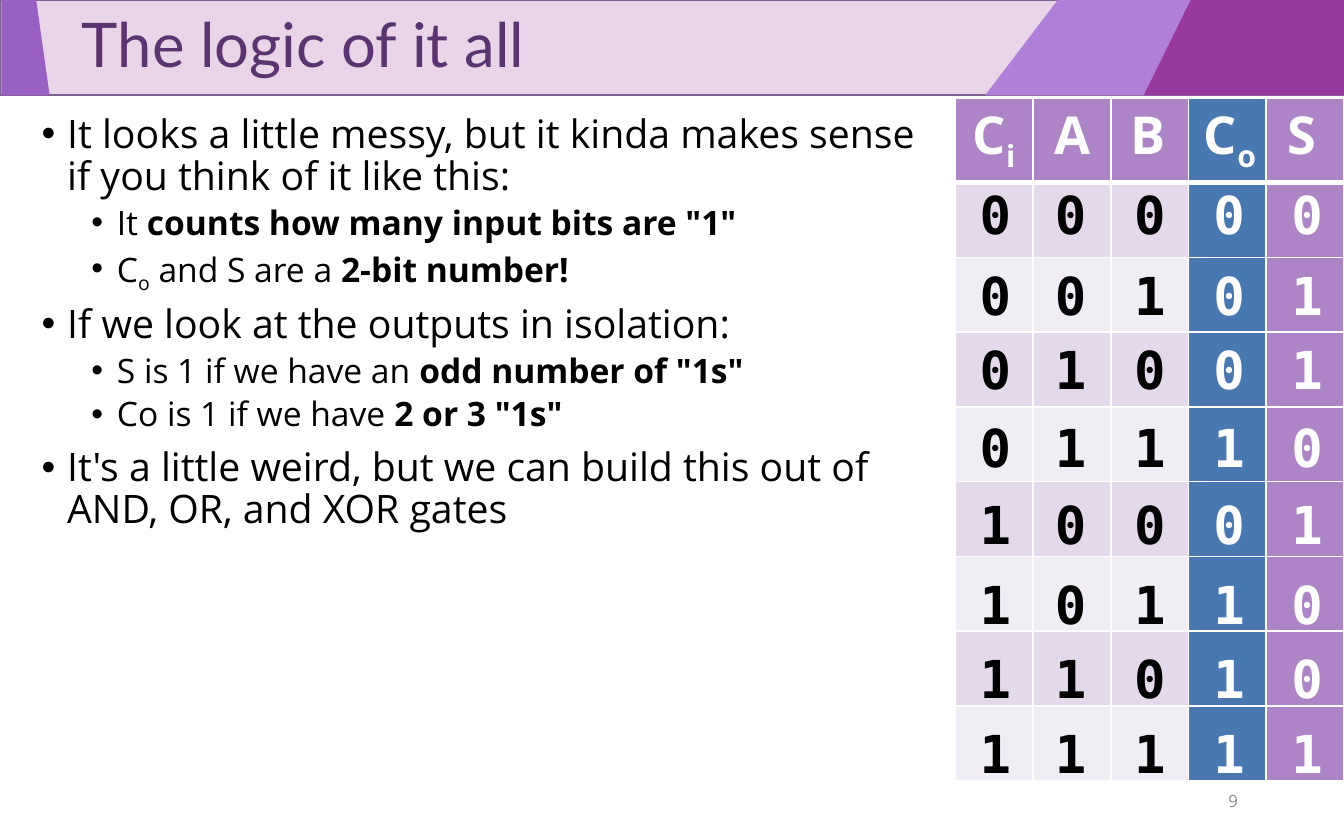
from pptx import Presentation
from pptx.dml.color import RGBColor
from pptx.enum.shapes import MSO_SHAPE
from pptx.enum.text import MSO_ANCHOR, MSO_AUTO_SIZE, PP_ALIGN
from pptx.oxml.ns import qn
from pptx.util import Inches, Pt
from lxml.etree import SubElement

COLORS = {
    "band": "E9D4E9", "band_line": "806292", "lilac": "B07FD8",
    "violet": "995FC2", "plum": "98399D", "title": "5A3471",
    "black": "000000", "white": "FFFFFF", "gray": "8C8C8C",
    "sum": "AD84C6", "carry": "4977B0", "odd": "E3D9EA", "even": "F1EDF5",
}
BODY_FONT, TITLE_FONT, DIGIT_FONT = "Open Sans", "Lato", "DejaVu Sans Mono"
WIDTH, HEIGHT, BAND_HEIGHT = 10, 6.25, 0.71

SLANTS = [
    ("lilac", [(7.87, 0), (10, 0), (10, BAND_HEIGHT), (7.33, BAND_HEIGHT)]),
    ("violet", [(0.01, 0), (0.27, 0), (0.37, BAND_HEIGHT), (0.01, BAND_HEIGHT)]),
    ("plum", [(8.86, 0), (10, 0), (10, BAND_HEIGHT), (8.51, BAND_HEIGHT)]),
]
TITLE = "The logic of it all"
BULLETS = [
    (0, [("It looks a little messy, but it kinda makes sense if you think of it like this:", "")]),
    (1, [("It ", ""), ('counts how many input bits are "1"', "bold")]),
    (1, [("C", ""), ("o", "sub"), (" and S are a ", ""), ("2-bit number!", "bold")]),
    (0, [("If we look at the outputs in isolation:", "")]),
    (1, [("S is 1 if we have an ", ""), ('odd number of "1s"', "bold")]),
    (1, [("Co is 1 if we have ", ""), ('2 or 3 "1s"', "bold")]),
    (0, [("It's a little weird, but we can build this out of AND, OR, and XOR gates", "")]),
]
LEVELS = [
    {"size": 21, "indent": 0.19, "before": 7.5},
    {"size": 18, "indent": 0.56, "before": 3.8},
]
HANGING = 0.19

HEADERS = [
    ([("C", "bold"), ("i", "bold sub")], 7.14, 0.52),
    ([("A", "bold")], 7.75, 0.48),
    ([("B", "bold")], 8.31, 0.45),
    ([("C", "bold"), ("o", "bold sub")], 8.86, 0.61),
    ([("S", "bold")], 9.48, 0.42),
]
TRUTH = ["00000", "00101", "01001", "01110", "10001", "10110", "11010", "11111"]
DIGIT_LEFTS = [7.19, 7.75, 8.34, 8.93, 9.51]
DIGIT_TOPS = [1.31, 1.91, 2.46, 3.04, 3.61, 4.21, 4.76, 5.32]
DIGIT_WIDTH, DIGIT_HEIGHT = 0.42, 0.57
TABLE_LEFT, TABLE_TOP, TABLE_BOTTOM, HEADER_HEIGHT = 7.11, 0.73, 5.81, 0.63


def color(name):
    return RGBColor.from_string(COLORS[name])


def place(shape, left, top, width, height):
    shape.left, shape.top = Inches(left), Inches(top)
    shape.width, shape.height = Inches(width), Inches(height)


def write(para, spans, font=BODY_FONT, size=18, ink="black"):
    for text, style in spans:
        span = para.add_run()
        span.text = text
        span.font.name, span.font.size = font, Pt(size)
        span.font.bold = "bold" in style
        span.font.color.rgb = color(ink)
        if "sub" in style:
            span.font._element.set("baseline", "-25000")
    return para


def paint(shape, fill, line=None):
    shape.shadow.inherit = False
    shape.fill.solid()
    shape.fill.fore_color.rgb = color(fill)
    if line:
        shape.line.color.rgb = color(line)
        shape.line.width = Pt(1)
    else:
        shape.line.fill.background()


def label(slide, spans, left, top, width, height, **style):
    box = slide.shapes.add_textbox(*map(Inches, (left, top, width, height)))
    box.text_frame.word_wrap = False
    box.text_frame.auto_size = MSO_AUTO_SIZE.SHAPE_TO_FIT_TEXT
    write(box.text_frame.paragraphs[0], spans, **style)
    return box


def draw_band(slide):
    band = slide.shapes.add_shape(MSO_SHAPE.RECTANGLE, 0, 0, Inches(WIDTH), Inches(BAND_HEIGHT))
    paint(band, "band", "band_line")
    for fill, points in SLANTS:
        corners = [(Inches(x), Inches(y)) for x, y in points]
        builder = slide.shapes.build_freeform(*corners[0])
        builder.add_line_segments(corners[1:], close=True)
        paint(builder.convert_to_shape(), fill)


def fill_title(slide):
    title = slide.shapes.title
    slide.shapes._spTree.append(title._element)
    place(title, 0.01, 0, WIDTH, BAND_HEIGHT)
    frame = title.text_frame
    frame.auto_size, frame.vertical_anchor = MSO_AUTO_SIZE.NONE, MSO_ANCHOR.MIDDLE
    para = write(frame.paragraphs[0], [(TITLE, "")], font=TITLE_FONT, size=33, ink="title")
    para.alignment, para.line_spacing = PP_ALIGN.LEFT, 0.9
    para._p.get_or_add_pPr().set("marL", str(Inches(0.5)))


def fill_body(slide):
    body = slide.placeholders[1]
    place(body, 0.21, 0.8, 6.79, 4.83)
    frame = body.text_frame
    frame.auto_size = MSO_AUTO_SIZE.NONE
    for index, (level, spans) in enumerate(BULLETS):
        para = frame.add_paragraph() if index else frame.paragraphs[0]
        look = LEVELS[level]
        para.level = level
        properties = para._p.get_or_add_pPr()
        properties.set("marL", str(Inches(look["indent"])))
        properties.set("indent", str(-Inches(HANGING)))
        SubElement(properties, qn("a:buChar")).set("char", "•")
        para.line_spacing = 0.9
        para.space_before = Pt(look["before"] if index else 0)
        write(para, spans, size=look["size"])


def add_borders(cell, bottom):
    properties = cell._tc.get_or_add_tcPr()
    for side, points in (("L", 1), ("R", 1), ("T", 1), ("B", bottom)):
        line = SubElement(properties, qn(f"a:ln{side}"), w=str(Pt(points)))
        fill = SubElement(line, qn("a:solidFill"))
        SubElement(fill, qn("a:srgbClr"), val=COLORS["white"])


def cell_fill(row, column):
    if column == 3:
        return "carry"
    if row == 0 or column == 4:
        return "sum"
    return "odd" if row % 2 else "even"


def draw_truth_table(slide):
    rows, columns = len(TRUTH) + 1, len(HEADERS)
    width, height = WIDTH - TABLE_LEFT, TABLE_BOTTOM - TABLE_TOP
    table = slide.shapes.add_table(
        rows, columns, *map(Inches, (TABLE_LEFT, TABLE_TOP, width, height))).table
    for column in table.columns:
        column.width = Inches(width / columns)
    for index, row in enumerate(table.rows):
        row.height = Inches((height - HEADER_HEIGHT) / len(TRUTH) if index else HEADER_HEIGHT)
        for column, cell in enumerate(row.cells):
            add_borders(cell, 1 if index else 3)
            cell.fill.solid()
            cell.fill.fore_color.rgb = color(cell_fill(index, column))
    for spans, left, box_width in HEADERS:
        label(slide, spans, left, BAND_HEIGHT, box_width, DIGIT_HEIGHT, size=28, ink="white")
    for digits, top in zip(TRUTH, DIGIT_TOPS):
        for column, (digit, left) in enumerate(zip(digits, DIGIT_LEFTS)):
            label(slide, [(digit, "bold")], left, top, DIGIT_WIDTH, DIGIT_HEIGHT,
                  font=DIGIT_FONT, size=28, ink="black" if column < 3 else "white")


def main():
    deck = Presentation()
    deck.slide_width, deck.slide_height = Inches(WIDTH), Inches(HEIGHT)
    slide = deck.slides.add_slide(deck.slide_layouts[1])
    draw_band(slide)
    fill_title(slide)
    fill_body(slide)
    number = label(slide, [("9", "")], 7.06, 5.79, 2.25, 0.33, size=9, ink="gray")
    number.text_frame.word_wrap = True
    number.text_frame.auto_size = MSO_AUTO_SIZE.NONE
    number.text_frame.vertical_anchor = MSO_ANCHOR.MIDDLE
    number.text_frame.paragraphs[0].alignment = PP_ALIGN.RIGHT
    draw_truth_table(slide)
    deck.save("out.pptx")


if __name__ == "__main__":
    main()
